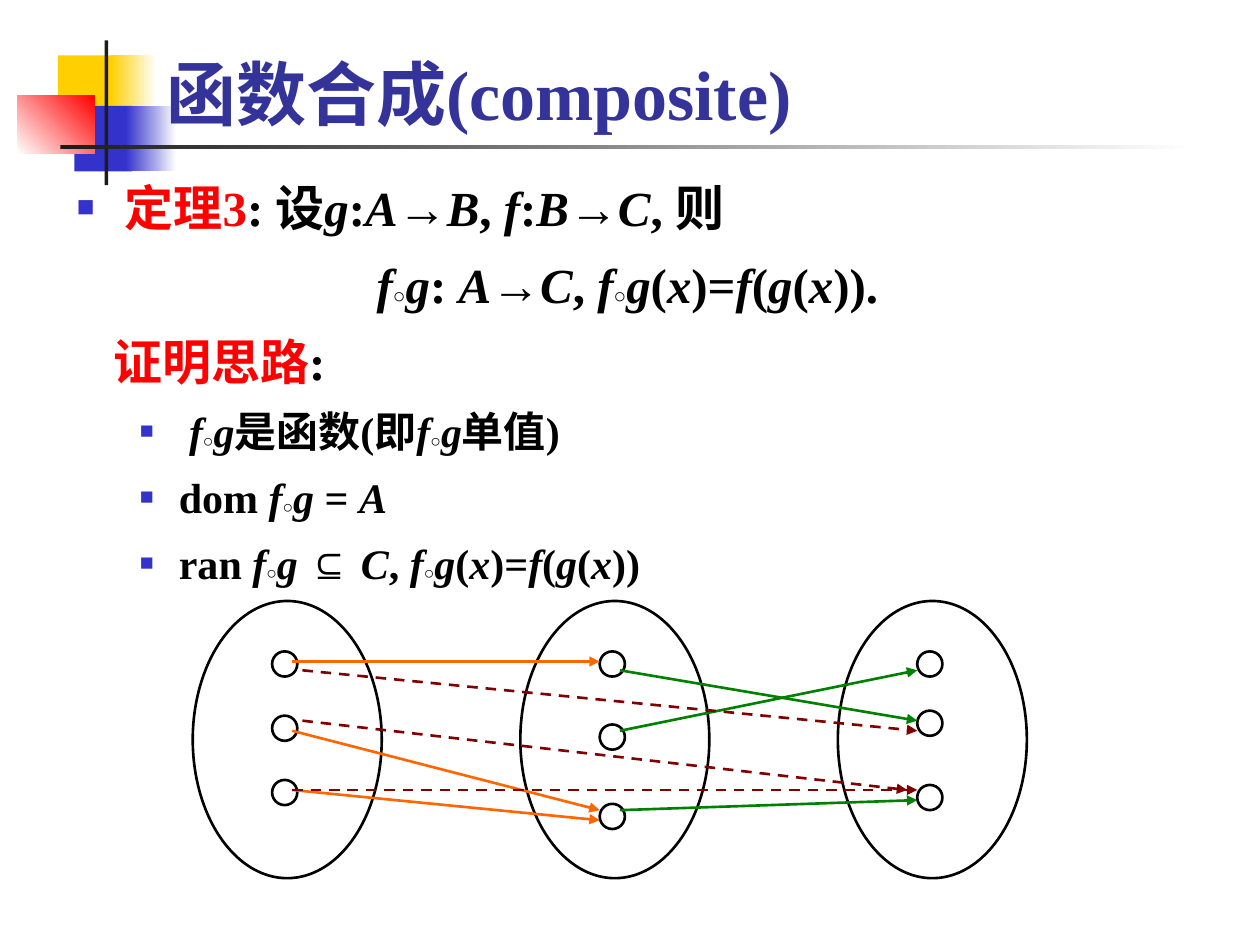
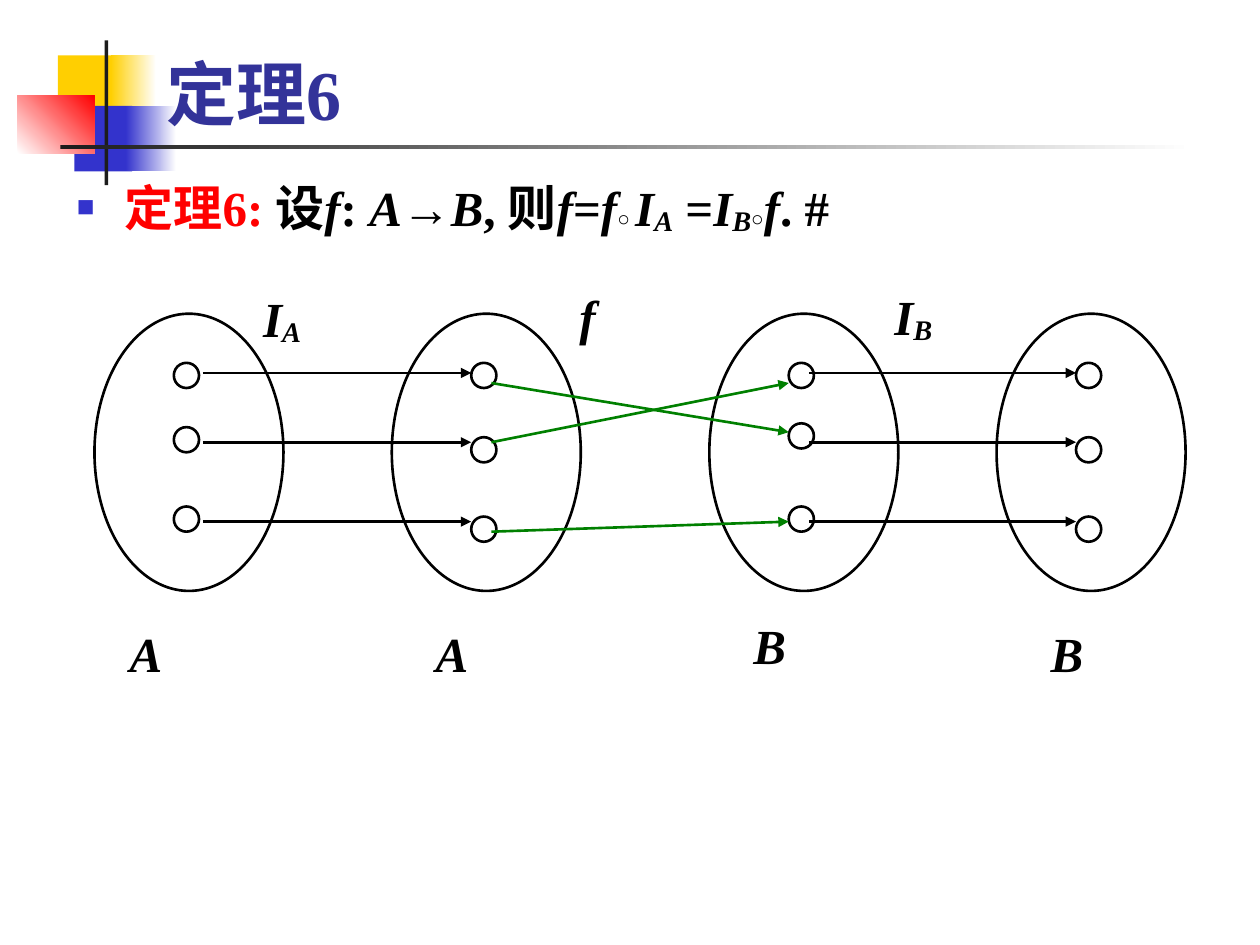
"""Build two slides on function composition with mapping diagrams."""
from dataclasses import dataclass
from itertools import groupby

from pptx import Presentation
from pptx.dml.color import RGBColor
from pptx.enum.dml import MSO_LINE
from pptx.enum.shapes import MSO_CONNECTOR, MSO_SHAPE
from pptx.enum.text import MSO_ANCHOR, MSO_AUTO_SIZE, PP_ALIGN
from pptx.oxml.ns import qn
from pptx.oxml.xmlchemy import OxmlElement
from pptx.util import Emu, Inches, Pt

COLORS = {
    "black": "000000", "white": "FFFFFF", "red": "FF0000", "title": "333399",
    "blue": "3333CC", "yellow": "FFCF01", "rule": "1C1C1C",
    "orange": "FF6600", "green": "008000", "maroon": "800000",
}
FONT = "Times New Roman"
SLIDE_WIDTH, SLIDE_HEIGHT = Inches(10), Inches(7.5)
COLUMNS = 100
CELL = SLIDE_WIDTH / COLUMNS
MARKS = {"*": "italic", "|": "red", "_": "subscript", "~": "small"}
OVAL_WIDTH, OVAL_HEIGHT = 15, 22
DOT_SIZE, DOT_INSET = 2, 6.3


@dataclass(frozen=True)
class Band:
    """A master decoration, placed in grid cells."""
    left: float
    top: float
    width: float
    height: float
    color: str
    fade_to: str = ""
    angle: float = 0


@dataclass(frozen=True)
class Line:
    """A marked-up body paragraph; margin and hanging are in cells."""
    text: str
    level: int = 0
    margin: float = 3.8
    hanging: float = 3.8
    bullet: int = 0


@dataclass(frozen=True)
class Oval:
    """A set: its left column and the rows of its dots below its top."""
    left: float
    dots: tuple[float, ...]


@dataclass(frozen=True)
class Arrow:
    """A mapping between two sets, with offsets from each set's corner."""
    source: int
    target: int
    start_row: float
    end_row: float
    color: str = "black"
    dashed: bool = False
    start_column: float = 7.9
    end_column: float = DOT_INSET


@dataclass(frozen=True)
class Label:
    """A marked-up diagram label."""
    text: str
    left: float
    top: float


@dataclass(frozen=True)
class Lesson:
    """Everything that differs from slide to slide."""
    title: str
    lines: tuple[Line, ...]
    top: float
    ovals: tuple[Oval, ...]
    arrows: tuple[Arrow, ...]
    labels: tuple[Label, ...] = ()


BANDS = (
    Band(4.6, 4.4, 4.8, 5.2, "yellow"),
    Band(8.8, 4.4, 3.6, 5.2, "yellow", "white"),
    Band(5.9, 8.4, 4.6, 5.2, "blue"),
    Band(10, 8.4, 4, 5.2, "blue", "white"),
    Band(1.4, 7.6, 6.1, 4.6, "white", "red", 45),
    Band(8.3, 3.2, 0.3, 11.5, "rule"),
    Band(4.8, 11.5, 90, 0.3, "rule", "white"),
)
FG = "*f*~○~*g*"
RULE = "*f*(*g*(*x*))"
SUB_LINE = {"level": 1, "margin": 8.1, "hanging": 3.1, "bullet": 55}

COMPOSITE = Lesson(
    "函数合成(composite)",
    (
        Line("|定理3|: 设*g*:*A*→*B*, *f*:*B*→*C*, 则", bullet=60),
        Line(f"{FG}: *A*→*C*, {FG}(*x*)={RULE}.", margin=23.8, hanging=0),
        Line("|证明思路|:", margin=2.9, hanging=0),
        Line(f"{FG}是函数(即{FG}单值)", 1, 8.9, 3.9, 55),
        Line(f"dom {FG} = *A*", **SUB_LINE),
        Line(f"ran {FG} ⊆ *C*, {FG}(*x*)={RULE}", **SUB_LINE),
    ),
    47.7,
    (
        Oval(15.3, (4, 9.1, 14.2)),
        Oval(41.3, (4, 9.8, 16.1)),
        Oval(66.5, (4, 8.7, 14.6)),
    ),
    (
        Arrow(0, 1, 4.8, 4.8, "orange"),
        Arrow(0, 1, 10.3, 16.6, "orange"),
        Arrow(0, 1, 15, 17.4, "orange"),
        Arrow(1, 2, 5.5, 9.5, "green"),
        Arrow(1, 2, 16.6, 15.8, "green"),
        Arrow(1, 2, 10.3, 5.5, "green"),
        Arrow(0, 2, 5.5, 10.3, "maroon", True, 8.7),
        Arrow(0, 2, 15, 15, "maroon", True),
        Arrow(0, 2, 9.5, 15, "maroon", True, 8.7, 5.5),
    ),
)
IDENTITY_ROWS = (4.7, 10.2, 16.5)
IDENTITY = Lesson(
    "定理6",
    (Line("|定理6: |设*f*: *A*→*B*, 则*f*=*f*~○ ~*I_A_* =*I_B_*~○~*f*. #", bullet=60),),
    24.9,
    (
        Oval(7.5, (3.9, 9, 15.3)),
        Oval(31.1, (3.9, 9.8, 16.1)),
        Oval(56.3, (3.9, 8.7, 15.3)),
        Oval(79.1, (3.9, 9.8, 16.1)),
    ),
    (
        Arrow(1, 2, 5.5, 9.4, "green"),
        Arrow(1, 2, 17.3, 16.5, "green"),
        Arrow(1, 2, 10.2, 5.5, "green"),
        *(Arrow(0, 1, row, row, start_column=8.6) for row in IDENTITY_ROWS),
        *(Arrow(2, 3, row, row) for row in IDENTITY_ROWS),
    ),
    (
        Label("*I_A_*", 19.9, 21.9), Label("*I_B_*", 70, 21.8), Label("*f*", 45, 21.8),
        Label("*A*", 9.3, 48.5), Label("*A*", 33.6, 48.5),
        Label("*B*", 58.8, 47.9), Label("*B*", 82.4, 48.5),
    ),
)


def cells(count: float) -> Emu:
    """Convert grid cells to a length."""
    return Emu(round(count * CELL))


def rgb(name: str) -> RGBColor:
    """Look up a named colour."""
    return RGBColor.from_string(COLORS[name])


def write(para, text: str, *, size: float, small: float = 12, color: str = "black") -> None:
    """Write marked-up text as formatted spans."""
    active: set[str] = set()
    styled = []
    for letter in text:
        if letter in MARKS:
            active ^= {MARKS[letter]}
        else:
            styled.append((frozenset(active), letter))
    for style, pairs in groupby(styled, key=lambda pair: pair[0]):
        span = para.add_run()
        span.text = "".join(letter for _, letter in pairs)
        span.font.name, span.font.bold = FONT, True
        span.font.italic = "italic" in style
        span.font.size = Pt(small if "small" in style else size)
        span.font.color.rgb = rgb("red" if "red" in style else color)
        if "subscript" in style:
            span._r.get_or_add_rPr().set("baseline", "-10000")


def place(box, left: float, top: float, width: float, height: float) -> None:
    """Move a placeholder to its grid cells."""
    box.left, box.top, box.width, box.height = map(cells, (left, top, width, height))
    box.text_frame.auto_size = MSO_AUTO_SIZE.NONE


def add_child(parent, tag: str, **attributes: str):
    """Append an XML element with attributes."""
    child = OxmlElement(tag)
    for name, value in attributes.items():
        child.set(name, value)
    parent.append(child)
    return child


def format_line(para, line: Line) -> None:
    """Set the indent and bullet of a body paragraph."""
    para.level = line.level
    settings = para._p.get_or_add_pPr()
    settings.set("marL", str(cells(line.margin)))
    settings.set("indent", str(-cells(line.hanging)))
    if line.bullet:
        bullet_color = add_child(settings, "a:buClr")
        add_child(bullet_color, "a:srgbClr", val=COLORS["blue"])
        add_child(settings, "a:buSzPct", val=str(line.bullet * 1000))
        add_child(settings, "a:buFont", typeface=FONT)
        add_child(settings, "a:buChar", char="■")
    else:
        add_child(settings, "a:buNone")
    para.line_spacing = 1.1


def add_band(page, band: Band) -> None:
    """Draw one decoration behind the title."""
    box = page.shapes.add_shape(
        MSO_SHAPE.RECTANGLE, *map(cells, (band.left, band.top, band.width, band.height)))
    box.shadow.inherit = False
    box.line.fill.background()
    if band.fade_to:
        box.fill.gradient()
        box.fill.gradient_angle = band.angle
        for stop, name in zip(box.fill.gradient_stops, (band.color, band.fade_to)):
            stop.color.rgb = rgb(name)
    else:
        box.fill.solid()
        box.fill.fore_color.rgb = rgb(band.color)
    page.shapes.title.element.addprevious(box.element)


def add_ring(page, left: float, top: float, width: float, height: float) -> None:
    """Draw an unfilled ellipse."""
    ring = page.shapes.add_shape(MSO_SHAPE.OVAL, *map(cells, (left, top, width, height)))
    ring.shadow.inherit = False
    ring.fill.background()
    ring.line.color.rgb = rgb("black")
    ring.line.width = Pt(1.5)


def add_arrow(page, arrow: Arrow, lesson: Lesson) -> None:
    """Draw one mapping arrow."""
    start = lesson.ovals[arrow.source].left + arrow.start_column
    end = lesson.ovals[arrow.target].left + arrow.end_column
    link = page.shapes.add_connector(MSO_CONNECTOR.STRAIGHT, *map(cells, (
        start, lesson.top + arrow.start_row, end, lesson.top + arrow.end_row)))
    link.line.color.rgb = rgb(arrow.color)
    link.line.width = Pt(1.5)
    if arrow.dashed:
        link.line.dash_style = MSO_LINE.DASH
    properties = link.element.spPr
    add_child(properties.find(qn("a:ln")), "a:tailEnd", type="triangle")
    add_child(properties, "a:effectLst")


def add_label(page, label: Label) -> None:
    """Write one diagram label."""
    box = page.shapes.add_textbox(*map(cells, (label.left, label.top, 12.1, 6.2)))
    box.text_frame.word_wrap = True
    para = box.text_frame.paragraphs[0]
    para.line_spacing = 1.1
    write(para, label.text, size=28)


def add_lesson(deck, lesson: Lesson) -> None:
    """Build one slide."""
    page = deck.slides.add_slide(deck.slide_layouts[1])
    for band in BANDS:
        add_band(page, band)

    title, body = page.shapes.title, page.placeholders[1]
    place(title, 12.2, 2.8, 85.2, 8.4)
    title.text_frame.vertical_anchor = MSO_ANCHOR.BOTTOM
    heading = title.text_frame.paragraphs[0]
    heading.alignment = PP_ALIGN.LEFT
    write(heading, lesson.title, size=40, color="title")

    place(body, 5.1, 13.1, 91.3, 54.3)
    for index, line in enumerate(lesson.lines):
        para = body.text_frame.add_paragraph() if index else body.text_frame.paragraphs[0]
        format_line(para, line)
        para.space_before = Pt(7 - line.level if index else 0)
        write(para, line.text, size=28 - 4 * line.level, small=12 - 2 * line.level)

    for oval in lesson.ovals:
        add_ring(page, oval.left, lesson.top, OVAL_WIDTH, OVAL_HEIGHT)
        for row in oval.dots:
            add_ring(page, oval.left + DOT_INSET, lesson.top + row, DOT_SIZE, DOT_SIZE)
    for arrow in lesson.arrows:
        add_arrow(page, arrow, lesson)
    for label in lesson.labels:
        add_label(page, label)


def main() -> None:
    """Build and save the deck."""
    deck = Presentation()
    deck.slide_width, deck.slide_height = SLIDE_WIDTH, SLIDE_HEIGHT
    for lesson in (COMPOSITE, IDENTITY):
        add_lesson(deck, lesson)
    deck.save("out.pptx")


if __name__ == "__main__":
    main()
